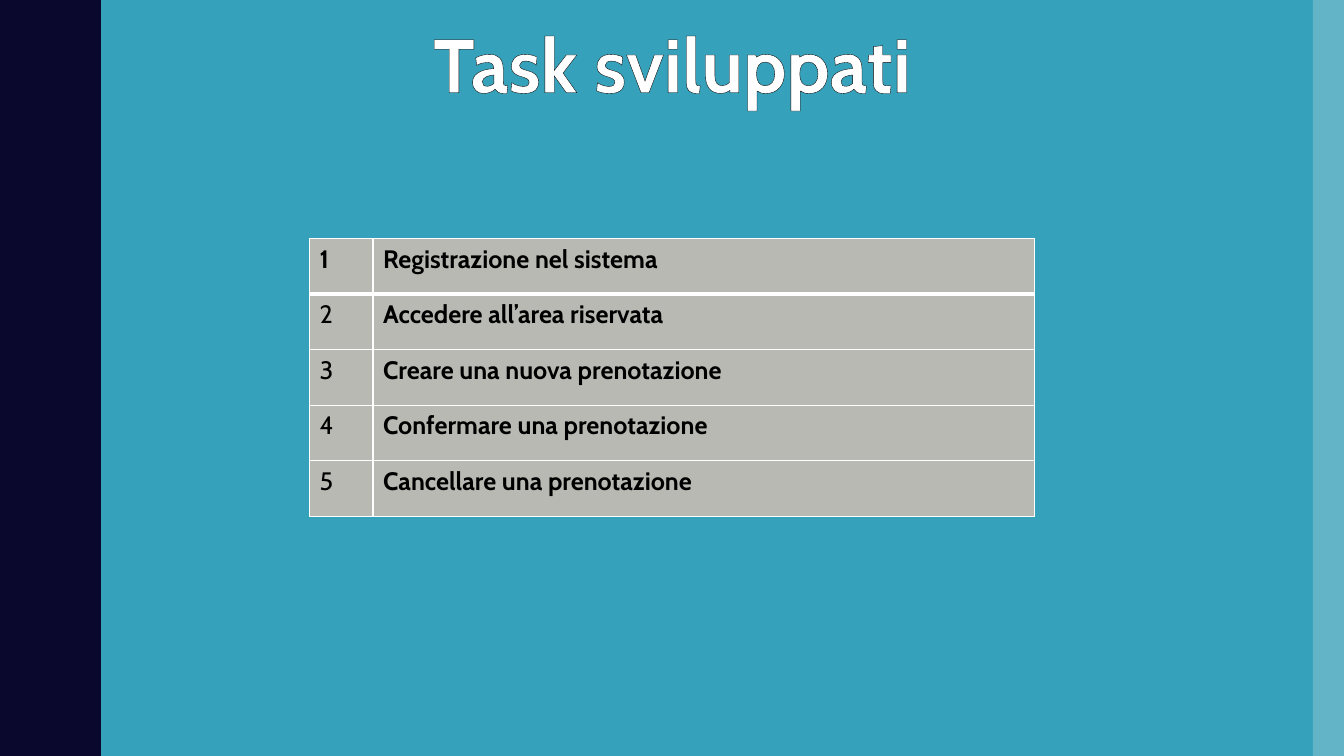
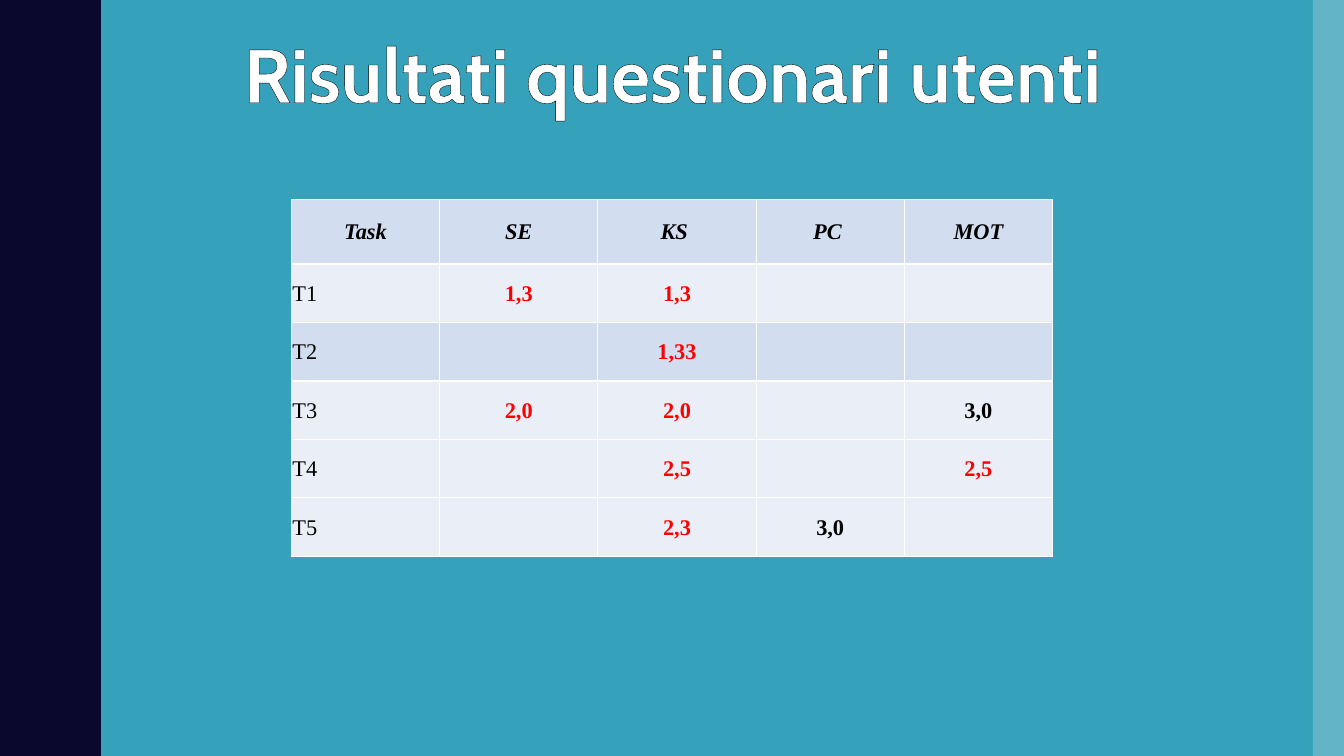
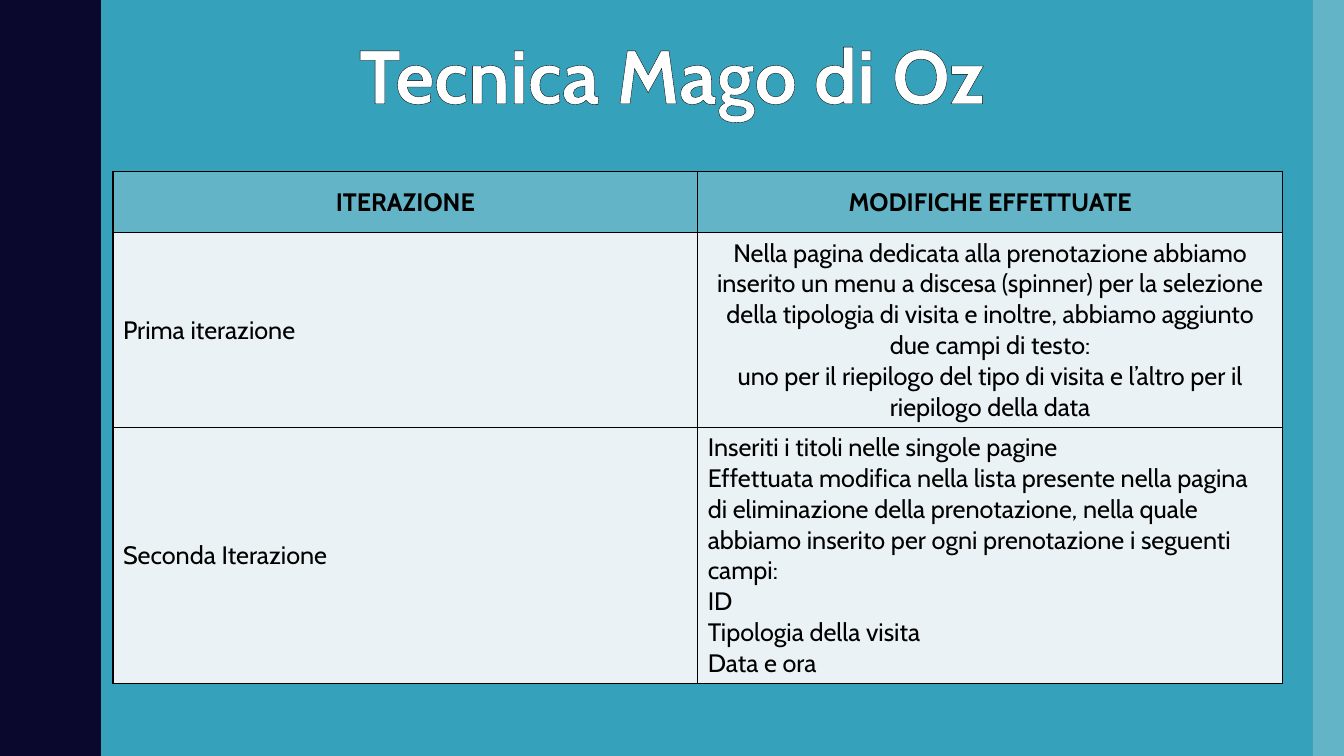
from lxml.etree import SubElement
from pptx import Presentation
from pptx.dml.color import RGBColor
from pptx.enum.shapes import MSO_SHAPE
from pptx.enum.text import MSO_ANCHOR as Anchor, MSO_AUTO_SIZE as AutoSize, PP_ALIGN as Align
from pptx.oxml.ns import qn
from pptx.util import Inches, Pt

COLORS = {
    "background": "36A1BA",
    "wave": "0B082E",
    "band": "62B4C6",
    "white": "FFFFFF",
    "black": "000000",
    "red": "FF0000",
    "task": "B9B9B3",
    "blue_dark": "D2DEEF",
    "blue_light": "EAEFF7",
    "iteration": "EAF2F5",
}
WIDTH, HEIGHT = 13.33, 7.5
WAVE_PERIOD = 1.5
WAVE_RISE = [
    (0.78, 0), (0.78, 0.07), (0.79, 0.14), (0.8, 0.2), (0.81, 0.25),
    (0.83, 0.29), (0.85, 0.33), (0.87, 0.38), (0.89, 0.42), (0.91, 0.46),
    (0.93, 0.5), (0.95, 0.55), (0.96, 0.61), (0.97, 0.68), (0.97, 0.75),
]
TASKS = [
    "Registrazione nel sistema",
    "Accedere all’area riservata",
    "Creare una nuova prenotazione",
    "Confermare una prenotazione",
    "Cancellare una prenotazione",
]
RESULTS = [
    ["Task", "SE", "KS ", "PC ", "MOT"],
    ["T1", "1,3", "1,3", "", ""],
    ["T2", "", "1,33", "", ""],
    ["T3", "2,0", "2,0", "", "3,0"],
    ["T4", "", "2,5", "", "2,5"],
    ["T5", "", "2,3", "3,0", ""],
]
ITERATIONS = [
    ["ITERAZIONE", "MODIFICHE EFFETTUATE"],
    [
        "Prima iterazione",
        "Nella pagina dedicata alla prenotazione abbiamo inserito un menu a discesa (spinner) "
        "per la selezione della tipologia di visita e inoltre, abbiamo aggiunto due campi di testo:\n"
        "uno per il riepilogo del tipo di visita e l’altro per il riepilogo della data",
    ],
    [
        "Seconda Iterazione",
        "Inseriti i titoli nelle singole pagine\n"
        "Effettuata modifica nella lista presente nella pagina di eliminazione della prenotazione, "
        "nella quale abbiamo inserito per ogni prenotazione i seguenti campi:\n"
        "ID\nTipologia della visita\nData e ora",
    ],
]


def color(name):
    return RGBColor.from_string(COLORS[name])


def paint(shape, fill):
    shape.fill.solid()
    shape.fill.fore_color.rgb = color(fill)
    shape.line.fill.background()
    shape.shadow.inherit = False


def add_line(parent, tag, name, width, index=None):
    line = SubElement(parent, qn(tag), w=str(Pt(width)))
    SubElement(SubElement(line, qn("a:solidFill")), qn("a:srgbClr"), val=COLORS[name])
    if index is not None:
        parent.insert(index, line)


def format_runs(text_frame, size, font, name, bold, italic=False, align=Align.LEFT):
    for paragraph in text_frame.paragraphs:
        paragraph.alignment = align
        for run in paragraph.runs:
            run.font.size = Pt(size)
            run.font.name = font
            run.font.bold = bold
            run.font.italic = italic
            run.font.color.rgb = color(name)


def decorate_layout(layout, slide):
    layout.background.fill.solid()
    layout.background.fill.fore_color.rgb = color("background")
    for placeholder in list(layout.placeholders)[1:]:
        layout.shapes.element.remove(placeholder.element)
    fall = [(x, WAVE_PERIOD - y) for x, y in reversed(WAVE_RISE)]
    outline = [
        (x, y + index * WAVE_PERIOD)
        for index in range(round(HEIGHT / WAVE_PERIOD))
        for x, y in WAVE_RISE + fall
    ]
    builder = slide.shapes.build_freeform(0, 0, scale=Inches(1))
    builder.add_line_segments(outline + [(0, HEIGHT)], close=True)
    wave = builder.convert_to_shape()
    band = slide.shapes.add_shape(
        MSO_SHAPE.RECTANGLE, Inches(13.02), 0, Inches(0.31), Inches(HEIGHT))
    for shape, fill in ((wave, "wave"), (band, "band")):
        paint(shape, fill)
        layout.shapes.element.append(shape.element)


def set_title(slide, text, left, top, width):
    title = slide.shapes.title
    title.left, title.top, title.width, title.height = map(Inches, (left, top, width, 1.01))
    frame = title.text_frame
    frame.text = text
    frame.word_wrap = False
    frame.auto_size = AutoSize.SHAPE_TO_FIT_TEXT
    frame.vertical_anchor = Anchor.TOP
    format_runs(frame, 54, "Cabin", "white", True, align=Align.CENTER)
    add_line(frame.paragraphs[0].runs[0].font._element, "a:ln", "black", 0.52, 0)


def add_grid(slide, left, top, columns, rows):
    frame = slide.shapes.add_table(
        len(rows), len(columns), Inches(left), Inches(top),
        Inches(sum(columns)), Inches(sum(rows)))
    table = frame.table
    table.first_row = table.horz_banding = False
    for column, width in zip(table.columns, columns):
        column.width = Inches(width)
    for row, height in zip(table.rows, rows):
        row.height = Inches(height)
    return table


def style_cell(cell, text, fill, border, top=1, bottom=1, anchor=Anchor.TOP, **text_style):
    properties = cell._tc.get_or_add_tcPr()
    for side, width in (("L", 1), ("R", 1), ("T", top), ("B", bottom)):
        add_line(properties, "a:ln" + side, border, width)
    cell.fill.solid()
    cell.fill.fore_color.rgb = color(fill)
    cell.vertical_anchor = anchor
    if text:
        cell.text_frame.text = text
        format_runs(cell.text_frame, **text_style)


def add_task_table(slide, left, top):
    table = add_grid(slide, left, top, [0.63, 6.56], [0.55] * len(TASKS))
    for row, task in enumerate(TASKS):
        for column, text in enumerate((str(row + 1), task)):
            style_cell(
                table.cell(row, column), text, "task", "white",
                top=3 if row == 1 else 1, bottom=3 if row == 0 else 1,
                size=18, font="Cabin", name="black", bold=row == 0 or column == 1)


def add_result_table(slide, left, top):
    table = add_grid(slide, left, top, [1.47, 1.57, 1.57, 1.47, 1.47], [0.64] + [0.58] * 5)
    for row, texts in enumerate(RESULTS):
        for column, text in enumerate(texts):
            cell = table.cell(row, column)
            header, label = row == 0, row > 0 and column == 0
            cell.margin_left = cell.margin_right = cell.margin_top = Inches(0.01)
            cell.margin_bottom = 0
            style_cell(
                cell, text, "blue_dark" if row in (0, 2) else "blue_light", "white",
                anchor=Anchor.MIDDLE, size=16, font="Times New Roman",
                name="black" if header or label or text == "3,0" else "red",
                bold=not label, italic=header,
                align=Align.LEFT if label else Align.CENTER)


def add_iteration_table(slide, left, top):
    table = add_grid(slide, left, top, [5.8, 5.8], [0.61, 1.93, 2.54])
    for row, texts in enumerate(ITERATIONS):
        for column, text in enumerate(texts):
            header = row == 0
            centered = header or (row, column) == (1, 1)
            style_cell(
                table.cell(row, column), text, "band" if header else "iteration", "black",
                anchor=Anchor.MIDDLE if header or column == 0 else Anchor.TOP,
                size=18, font="Cabin", name="black", bold=header,
                align=Align.CENTER if centered else Align.LEFT)


def main():
    presentation = Presentation()
    presentation.slide_width = Inches(WIDTH)
    presentation.slide_height = Inches(HEIGHT)
    layout = presentation.slide_layouts[5]
    pages = [
        (("Task sviluppati", 3.99, 0.12, 5.35), add_task_table, (3.07, 2.37)),
        (("Risultati questionari utenti", 1.86, 0.22, 9.62), add_result_table, (2.89, 1.98)),
        (("Tecnica Mago di Oz", 3.12, 0.23, 7.09), add_iteration_table, (1.12, 1.7)),
    ]
    for title, add_content, position in pages:
        slide = presentation.slides.add_slide(layout)
        set_title(slide, *title)
        add_content(slide, *position)
    decorate_layout(layout, presentation.slides[0])
    presentation.save("out.pptx")


if __name__ == "__main__":
    main()
